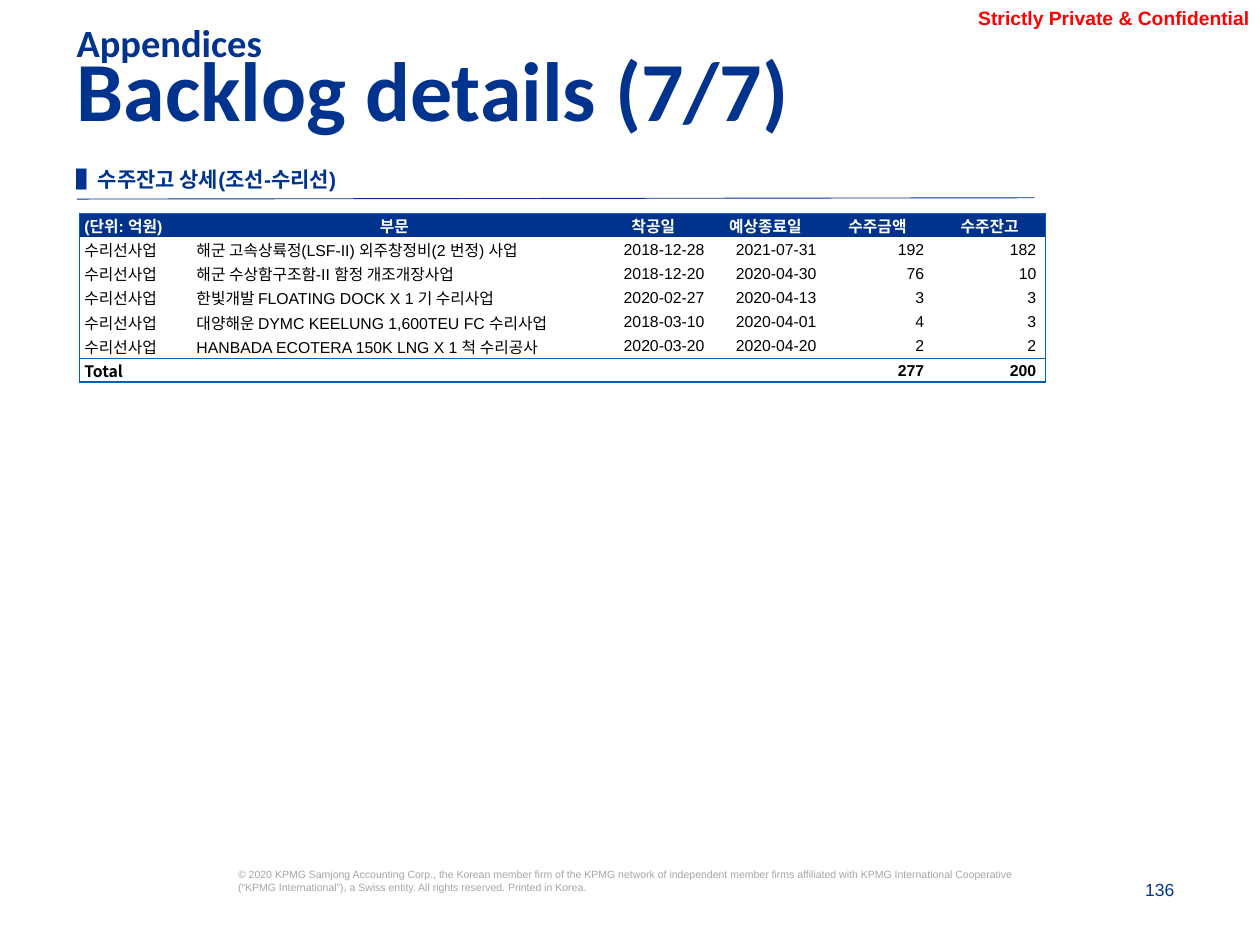
import pptx
import pptx.dml.color
import pptx.enum.shapes
import pptx.enum.text
import pptx.oxml
import pptx.oxml.ns
import pptx.util
import lxml.etree

Inches = pptx.util.Inches
Align = pptx.enum.text.PP_ALIGN
Anchor = pptx.enum.text.MSO_ANCHOR

NAVY, BLUE, WHITE, BLACK = "00338D", "005EB8", "FFFFFF", "000000"
GREY, RED = "A6A6A6", "FF0000"
KOREAN_FONT = "Noto Sans CJK KR"
NO_STYLE = "{2D5ABB26-0587-4C30-8999-92F81FD0307C}"

COLUMN_WIDTHS = [0.89, 3.22] + [0.89] * 4
ROW_HEIGHTS = [0.17, 0.19, 0.17, 0.17, 0.19, 0.17, 0.18]
HEADER = ["(단위: 억원)", "부문", "착공일", "예상종료일", "수주금액", "수주잔고"]
PROJECTS = [
    ["해군 고속상륙정(LSF-II) 외주창정비(2 번정) 사업", "2018-12-28", "2021-07-31", "192 ", "182 "],
    ["해군 수상함구조함-II 함정 개조개장사업", "2018-12-20", "2020-04-30", "76 ", "10 "],
    ["한빛개발 FLOATING DOCK X 1 기 수리사업", "2020-02-27", "2020-04-13", "3 ", "3 "],
    ["대양해운 DYMC KEELUNG 1,600TEU FC 수리사업", "2018-03-10", "2020-04-01", "4 ", "3 "],
    ["HANBADA ECOTERA 150K LNG X 1 척 수리공사", "2020-03-20", "2020-04-20", "2 ", "2 "],
]
TOTAL = ["Total", "", "", "", "277 ", "200 "]


def color(hex_string):
    return pptx.dml.color.RGBColor.from_string(hex_string)


def set_attributes(target, values):
    for name, value in values.items():
        setattr(target, name, value)


def add_element(parent, tag, **attributes):
    return lxml.etree.SubElement(parent, pptx.oxml.ns.qn(tag), attributes)


def write_text(paragraph, text, size, hex_string, bold=False, font="Arial", **layout):
    """Fill a paragraph with one run, with a Korean font for its Hangul."""
    set_attributes(paragraph, layout)
    if not text:
        add_element(paragraph._p, "a:endParaRPr", sz=str(size * 100))
        return
    run = paragraph.add_run()
    run.text = text
    set_attributes(run.font, {"size": pptx.util.Pt(size), "bold": bold, "name": font})
    run.font.color.rgb = color(hex_string)
    add_element(run.font._element, "a:ea", typeface=KOREAN_FONT)


def format_frame(frame, insets, anchor=Anchor.TOP):
    left, top, right, bottom = (Inches(inset) for inset in insets)
    set_attributes(frame, {
        "word_wrap": True, "auto_size": pptx.enum.text.MSO_AUTO_SIZE.NONE,
        "vertical_anchor": anchor, "margin_left": left, "margin_top": top,
        "margin_right": right, "margin_bottom": bottom,
    })


def add_text(shapes, box, text, size, hex_string, insets=(0, 0, 0, 0),
             anchor=Anchor.TOP, **style):
    shape = shapes.add_textbox(*(Inches(length) for length in box))
    format_frame(shape.text_frame, insets, anchor)
    write_text(shape.text_frame.paragraphs[0], text, size, hex_string, **style)


def add_titles(slide, box):
    left, top, width, height = box
    section_height = 0.3
    title_top = top + 0.27
    insets = (0.1, 0.05, 0.1, 0.05)
    style = {"hex_string": NAVY, "bold": True, "font": "Calibri",
             "alignment": Align.LEFT, "line_spacing": 0.7}
    title = slide.shapes.title
    set_attributes(title, {"left": Inches(left), "top": Inches(title_top),
                           "width": Inches(width), "height": Inches(top + height - title_top)})
    format_frame(title.text_frame, insets)
    write_text(title.text_frame.paragraphs[0], "Backlog details (7/7)", 48, **style)
    add_text(slide.shapes, (left, top, width, section_height), "Appendices", 22,
             insets=insets, **style)


def add_section_heading(slide, box):
    left, top, width, height = box
    group = slide.shapes.add_group_shape()
    rule = group.shapes.add_connector(
        pptx.enum.shapes.MSO_CONNECTOR.STRAIGHT, Inches(left), Inches(top + 0.37),
        Inches(left + width), Inches(top + 0.36))
    rule.line.color.rgb = color(NAVY)
    rule.line.width = pptx.util.Pt(0.5)
    add_element(rule._element.spPr, "a:effectLst")
    add_text(group.shapes, (left, top, 7.33, height), "▌수주잔고 상세(조선-수리선)", 12, NAVY,
             anchor=Anchor.MIDDLE, bold=True, line_spacing=1.2)


def add_border(cell, side, points):
    properties = cell._tc.get_or_add_tcPr()
    line = add_element(properties, f"a:ln{side}", w=str(pptx.util.Pt(points)))
    add_element(add_element(line, "a:solidFill"), "a:srgbClr", val=BLUE)


def format_cell(cell, row, column, last_row, last_column):
    """Frame the table and rule off the total row."""
    borders = {
        "L": 0.5 if column == 0 else 0,
        "R": 0.5 if column == last_column else 0,
        "T": 0.5 if row in (0, last_row) else 0,
        "B": {last_row - 1: 0.5, last_row: 1}.get(row, 0),
    }
    for side, points in borders.items():
        if points:
            add_border(cell, side, points)
    cell.fill.solid()
    cell.fill.fore_color.rgb = color(NAVY if row == 0 else WHITE)
    set_attributes(cell, {
        "vertical_anchor": Anchor.MIDDLE, "margin_left": Inches(0.04),
        "margin_right": Inches(0.04), "margin_top": Inches(0.01), "margin_bottom": 0,
    })


def add_backlog_table(slide, box):
    rows = [HEADER] + [["수리선사업"] + project for project in PROJECTS] + [TOTAL]
    last_row, last_column = len(rows) - 1, len(HEADER) - 1
    frame = slide.shapes.add_table(len(rows), len(HEADER), *(Inches(length) for length in box))
    table = frame.table
    set_attributes(table, {"first_row": False, "horz_banding": False})
    table._tbl.tblPr.find(pptx.oxml.ns.qn("a:tableStyleId")).text = NO_STYLE
    for column, width in zip(table.columns, COLUMN_WIDTHS):
        column.width = Inches(width)
    for row, height in zip(table.rows, ROW_HEIGHTS):
        row.height = Inches(height)
    for row, texts in enumerate(rows):
        for column, text in enumerate(texts):
            cell = table.cell(row, column)
            format_cell(cell, row, column, last_row, last_column)
            if row == 0:
                alignment = Align.CENTER if column else Align.LEFT
            else:
                alignment = Align.RIGHT if column > 1 else Align.LEFT
            write_text(cell.text_frame.paragraphs[0], text, 9, BLACK if row else WHITE,
                       bold=row in (0, last_row), alignment=alignment,
                       font=KOREAN_FONT if text == "Total" else "Arial")


def add_confidential_mark(slide, box):
    add_text(slide.shapes, box, "Strictly Private & Confidential", 11, RED,
             insets=(0, 0.04, 0.04, 0.04), anchor=Anchor.BOTTOM, bold=True,
             alignment=Align.RIGHT)


def add_footer(slide, box):
    left, top, width, height = box
    add_text(slide.shapes, (left, top, 6.36, height),
             "© 2020 KPMG Samjong Accounting Corp., the Korean member firm of the KPMG network "
             "of independent member firms affiliated with KPMG International Cooperative "
             "(“KPMG International”), a Swiss entity. All rights reserved. Printed in Korea.",
             6, GREY)
    number_width = 1.31
    add_text(slide.shapes, (left + width - number_width, top + 0.09, number_width, 0.16),
             "136", 10, NAVY, anchor=Anchor.BOTTOM, alignment=Align.RIGHT)


def main():
    presentation = pptx.Presentation()
    presentation.slide_width = Inches(10)
    presentation.slide_height = Inches(7.5)
    slide = presentation.slides.add_slide(presentation.slide_layouts[5])
    add_footer(slide, (1.89, 6.89, 7.43, 0.42))
    add_confidential_mark(slide, (7.46, -0.01, 2.5, 0.28))
    add_titles(slide, (0.51, 0.2, 9.4, 1.06))
    add_section_heading(slide, (0.61, 1.21, 7.6, 0.39))
    add_backlog_table(slide, (0.63, 1.69, sum(COLUMN_WIDTHS), sum(ROW_HEIGHTS)))
    presentation.save("out.pptx")


if __name__ == "__main__":
    main()
